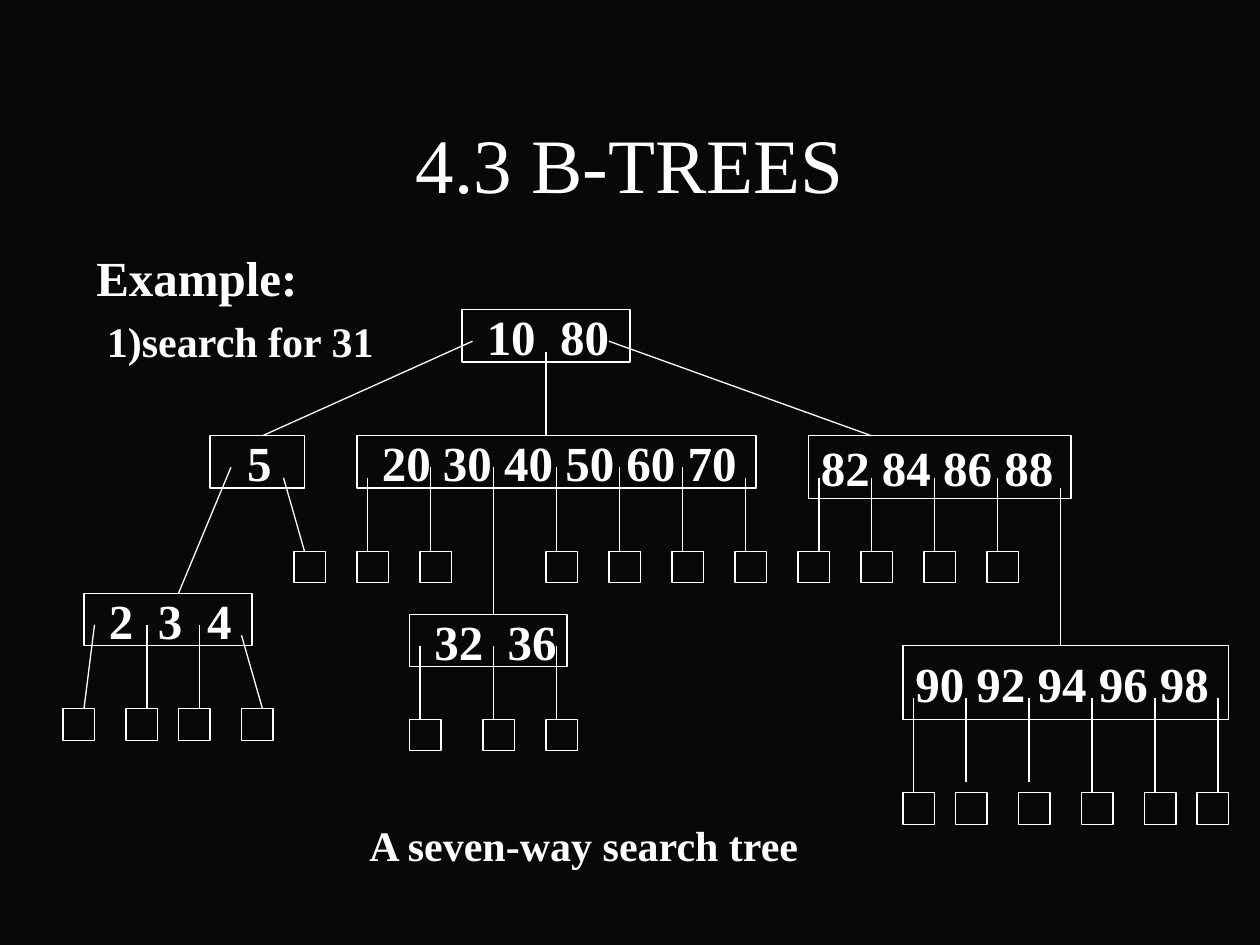
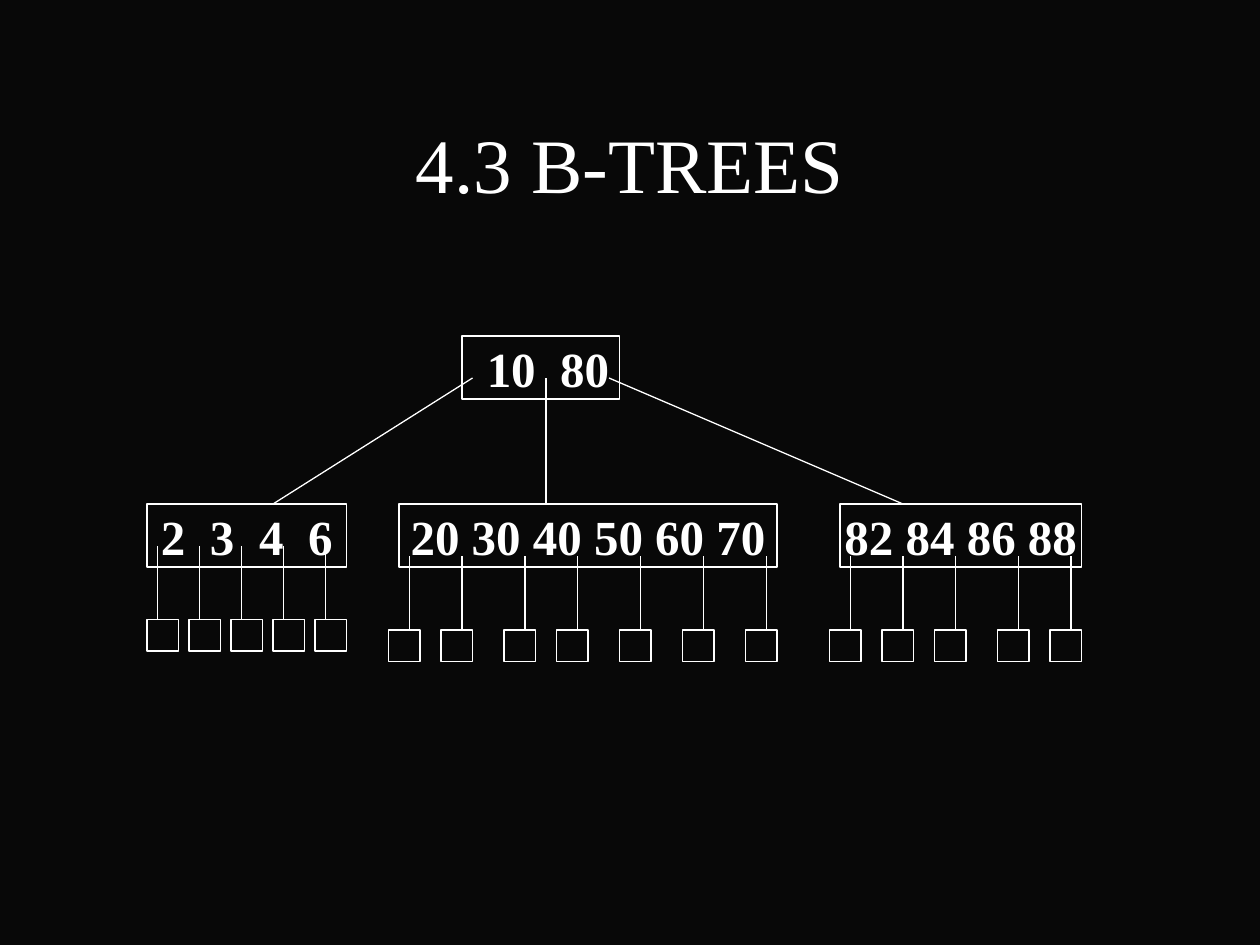
"""Build two slides of seven-way search trees for the B-trees lesson."""
from lxml import etree
from pptx import Presentation
from pptx.dml.color import RGBColor
from pptx.enum.shapes import MSO_CONNECTOR, MSO_SHAPE
from pptx.enum.text import MSO_ANCHOR, PP_ALIGN
from pptx.oxml.ns import qn
from pptx.util import Cm, Pt

RECTANGLE = MSO_SHAPE.RECTANGLE
STRAIGHT = MSO_CONNECTOR.STRAIGHT
MIDDLE = MSO_ANCHOR.MIDDLE
LEFT, CENTER = PP_ALIGN.LEFT, PP_ALIGN.CENTER

COLORS = {"background": "080808", "ink": "FFFFFF"}
INK = RGBColor.from_string(COLORS["ink"])
TITLE_FONT = {"name": "Times New Roman", "size": Pt(44), "bold": False}
KEY_FONT = {"name": "Times New Roman", "size": Pt(28), "bold": True}
NOTE_FONT = {"name": "Times New Roman", "size": Pt(24), "bold": True}
NODE_FRAME = {"word_wrap": True, "vertical_anchor": MIDDLE,
              "margin_top": 0, "margin_right": 0, "margin_bottom": 0}
STEP = 2.54 / 12
LEAF_SIZE = 3
LINE_WIDTH = Pt(0.75)

TREES = [
    {
        "nodes": [
            ("10\t80", 44, 29.5, 16, 5, 0.5, 1.48),
            ("5", 20, 41.5, 9, 5, 0.75, 0),
            ("20 30 40 50 60 70", 34, 41.5, 38, 5, 0.5, 0),
            ("82 84 86 88", 77, 41.5, 25, 6, 0.25, 0),
            ("2\t3\t4", 8, 56.5, 16, 5, 0.5, 0.99),
            ("32\t36", 39, 58.5, 15, 5, 0.5, 1.48),
            ("90 92 94 96 98", 86, 61.5, 31, 7, 0.25, 0),
        ],
        "leaves": [
            (52.5, [*range(28, 41, 6), *range(52, 95, 6)]),
            (67.5, [6, 12, 17, 23]),
            (68.5, [39, 46, 52]),
            (75.5, [86, 91, 97, 103, 109, 114]),
        ],
        "branches": [
            (45, 32.5, 25, 41.5), (58, 32.5, 83, 41.5),
            (22, 44.5, 17, 56.5), (27, 45.5, 29, 52.5),
            (9, 59.5, 8, 67.5), (23, 60.5, 25, 67.5),
        ],
        "drops": [
            (33.5, 41.5, [52]),
            (59.5, 67.5, [14, 19]),
            (45.5, 52.5, [35, 71, 78, 83, 89, 95]),
            (44.5, 52.5, [41, 53, 59, 65]),
            (44.5, 58.5, [47]),
            (61.5, 68.5, [40, 47, 53]),
            (46.5, 61.5, [101]),
            (66.5, 75.5, [87, 104, 110, 116]),
            (66.5, 74.5, [92, 98]),
        ],
        "notes": [
            ("A seven-way search tree", 34, 77.5, 44, 6, NOTE_FONT),
            ("Example:", 8, 23, 34, 7, KEY_FONT),
            ("1)search for 31", 9, 29.5, 28, 6, NOTE_FONT),
        ],
    },
    {
        "nodes": [
            ("10\t80", 44, 32, 15, 6, 0.5, 1.48),
            ("2\t3\t4\t6", 14, 48, 19, 6, 0.28, 0.99),
            ("20 30 40 50 60 70", 38, 48, 36, 6, 0, 0),
            ("82 84 86 88", 80, 48, 23, 6, 0, 0),
        ],
        "leaves": [
            (59, range(14, 31, 4)),
            (60, [37, 42, 48, 53, 59, 65, 71, 79, 84, 89, 95, 100]),
        ],
        "branches": [(45, 36, 26, 48), (58, 36, 86, 48)],
        "drops": [
            (36, 48, [52]),
            (52, 59, range(15, 32, 4)),
            (53, 60, [39, 44, 50, 55, 61, 67, 73, 81, 86, 91, 97, 102]),
        ],
        "notes": [],
    },
]


def grid(*steps):
    return [Cm(STEP * step) for step in steps]


def write(paragraph, text, font_format, alignment, tab_pitch=0):
    paragraph.text = text
    paragraph.alignment = alignment
    if tab_pitch:
        tab_list = etree.SubElement(paragraph._p.get_or_add_pPr(), qn("a:tabLst"))
        for stop in range(1, text.count("\t") + 1):
            etree.SubElement(tab_list, qn("a:tab"), pos=str(Cm(tab_pitch * stop)), algn="l")
    for run in paragraph.runs:
        for attribute, value in font_format.items():
            setattr(run.font, attribute, value)
        run.font.color.rgb = INK


prs = Presentation()
prs.slide_width, prs.slide_height = Cm(25.4), Cm(19.05)
backdrop = prs.slide_master.background.fill
backdrop.solid()
backdrop.fore_color.rgb = RGBColor.from_string(COLORS["background"])
title_only = prs.slide_layouts[5]

for tree in TREES:
    slide = prs.slides.add_slide(title_only)
    heading = slide.shapes.title
    heading.left, heading.top, heading.width, heading.height = grid(9, 8, 102, 15)
    heading.text_frame.vertical_anchor = MIDDLE
    write(heading.text_frame.paragraphs[0], "4.3 B-TREES", TITLE_FONT, CENTER)

    boxes = []
    for keys, left, top, width, height, indent, pitch in tree["nodes"]:
        node = slide.shapes.add_shape(RECTANGLE, *grid(left, top, width, height))
        for attribute, value in NODE_FRAME.items():
            setattr(node.text_frame, attribute, value)
        node.text_frame.margin_left = Cm(indent)
        alignment = LEFT if indent else CENTER
        write(node.text_frame.paragraphs[0], keys, KEY_FONT, alignment, pitch)
        boxes.append(node)

    for top, lefts in tree["leaves"]:
        for left in lefts:
            boxes.append(slide.shapes.add_shape(
                RECTANGLE, *grid(left, top, LEAF_SIZE, LEAF_SIZE)))

    for box in boxes:
        box.shadow.inherit = False
        box.fill.background()
        box.line.color.rgb = INK
        box.line.width = LINE_WIDTH

    drops = [(x, start, x, end) for start, end, xs in tree["drops"] for x in xs]
    for ends in tree["branches"] + drops:
        link = slide.shapes.add_connector(STRAIGHT, *grid(*ends))
        link.line.color.rgb = INK
        link.line.width = LINE_WIDTH
        etree.SubElement(link._element.spPr, qn("a:effectLst"))

    for text, left, top, width, height, font_format in tree["notes"]:
        note = slide.shapes.add_textbox(*grid(left, top, width, height))
        note.text_frame.word_wrap = True
        write(note.text_frame.paragraphs[0], text, font_format, LEFT)

prs.save("out.pptx")
